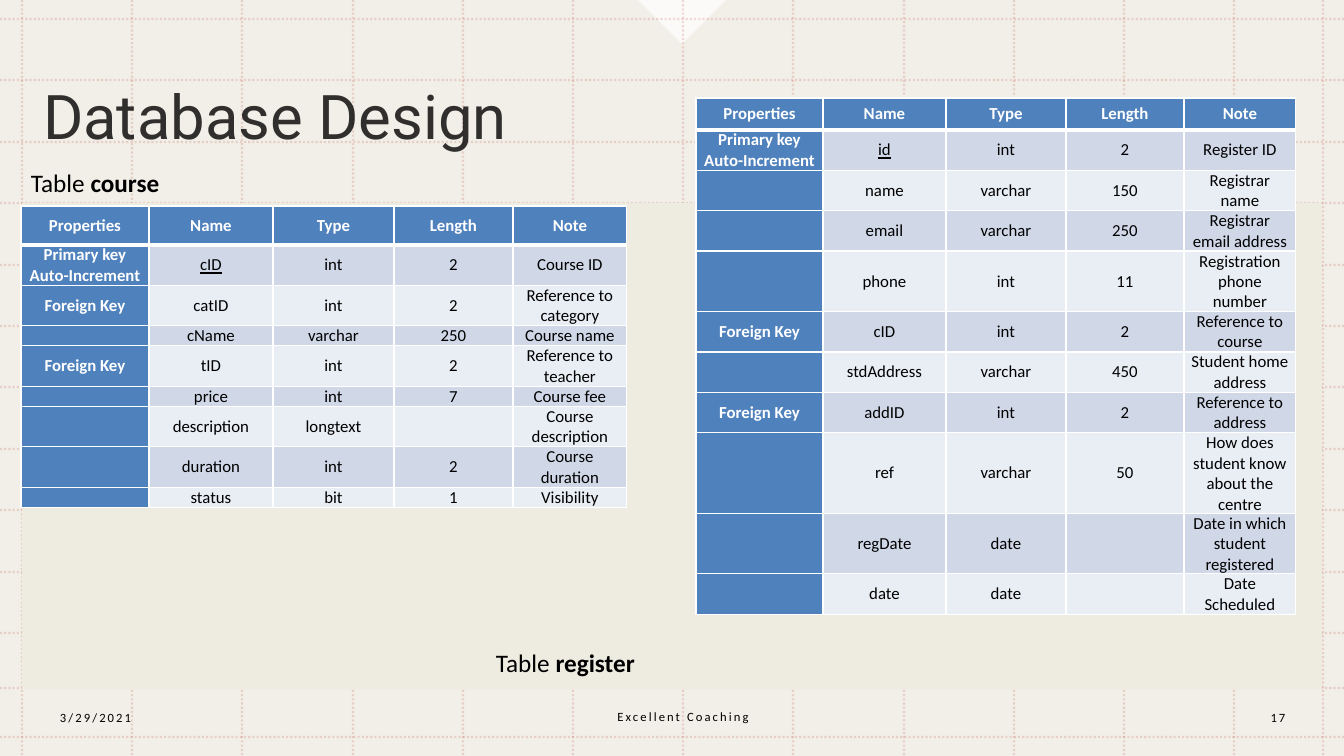
"""Build the Database Design slide with the course and register tables."""
import pptx
import pptx.dml.color
import pptx.enum.dml
import pptx.enum.shapes
import pptx.enum.text
import pptx.oxml.ns
import pptx.util
from lxml import etree

RGBColor = pptx.dml.color.RGBColor
Shape = pptx.enum.shapes.MSO_SHAPE
Align = pptx.enum.text.PP_ALIGN
Anchor = pptx.enum.text.MSO_ANCHOR
qn = pptx.oxml.ns.qn

BLACK = RGBColor(0, 0, 0)
WHITE = RGBColor(255, 255, 255)
CREAM = RGBColor(0xEE, 0xEC, 0xE1)
RED = RGBColor(0xC0, 0x50, 0x4D)
BLUE = RGBColor(0x4F, 0x81, 0xBD)
BANDS = (RGBColor(0xE9, 0xED, 0xF4), RGBColor(0xD0, 0xD8, 0xE8))

WIDTH, HEIGHT = 1344, 756
PX_PER_INCH = 100.8

TITLE = "Database Design"
HEADER = ("Properties", "Name", "Type", "Length", "Note")
PRIMARY = "Primary key\nAuto-Increment"
FOREIGN = "Foreign Key"

COURSE = [
    (39, HEADER),
    (40, (PRIMARY, "cID", "int", "2", "Course ID")),
    (40, (FOREIGN, "catID", "int", "2", "Reference to category")),
    (20, ("", "cName", "varchar", "250", "Course name")),
    (40, (FOREIGN, "tID", "int", "2", "Reference to teacher")),
    (20, ("", "price", "int", "7", "Course fee")),
    (40, ("", "description", "longtext", "", "Course description")),
    (40, ("", "duration", "int", "2", "Course duration")),
    (20, ("", "status", "bit", "1", "Visibility")),
]
REGISTER = [
    (32, HEADER),
    (40, (PRIMARY, "id", "int", "2", "Register ID")),
    (40, ("", "name", "varchar", "150", "Registrar name")),
    (40, ("", "email", "varchar", "250", "Registrar email address")),
    (60, ("", "phone", "int", "11", "Registration phone number")),
    (40, (FOREIGN, "cID", "int", "2", "Reference to course")),
    (40, ("", "stdAddress", "varchar", "450", "Student home address")),
    (40, (FOREIGN, "addID", "int", "2", "Reference to address")),
    (80, ("", "ref", "varchar", "50", "How does student know about the centre")),
    (60, ("", "regDate", "date", "", "Date in which student registered")),
    (40, ("", "date", "date", "", "Date Scheduled")),
]
TABLES = [
    (21, 206, (128, 124, 121, 119, 114), COURSE),
    (696, 98, (127, 123, 120, 118, 112), REGISTER),
]
CAPTIONS = [(21, 162, "course"), (486, 642, "register")]
FOOTERS = [
    (50, 698, 282, Align.LEFT, "3/29/2021"),
    (463, 697, 440, Align.CENTER, "Excellent Coaching"),
    (1234, 698, 88, Align.CENTER, "17"),
]
GRID_X = [22 + round(110.2 * i) for i in range(12)] + [1323]
GRID_Y = [19 + round(61.4 * i) for i in range(11)] + [688, 737]


def px(length):
    return pptx.util.Emu(round(length * 914400 / PX_PER_INCH))


def place(*lengths):
    return [px(length) for length in lengths]


def set_alpha(element, percent):
    color = next(element.iter(qn("a:srgbClr")))
    etree.SubElement(color, qn("a:alpha"), val=str(percent * 1000))


def style(span, size, color=BLACK, bold=False, face="Calibri"):
    span.font.name = face
    span.font.size = pptx.util.Pt(size)
    span.font.bold = bold
    span.font.color.rgb = color


def add_block(page, kind, box, color, alpha=100, rotation=0):
    block = page.shapes.add_shape(kind, *place(*box))
    block.shadow.inherit = False
    block.fill.solid()
    block.fill.fore_color.rgb = color
    block.line.fill.background()
    block.rotation = rotation
    if alpha < 100:
        set_alpha(block.element.spPr, alpha)


def add_grid_line(page, ends):
    line = page.shapes.add_connector(
        pptx.enum.shapes.MSO_CONNECTOR.STRAIGHT, *place(*ends))
    line.line.color.rgb = RED
    line.line.width = pptx.util.Pt(1.5)
    line.line.dash_style = pptx.enum.dml.MSO_LINE.ROUND_DOT
    properties = line.element.spPr
    set_alpha(properties, 20)
    etree.SubElement(properties, qn("a:effectLst"))


def add_text(page, box, text):
    frame = page.shapes.add_textbox(*place(*box)).text_frame
    frame.word_wrap = True
    frame.text = text
    return frame


def add_border(cell, side, points):
    line = etree.SubElement(cell._tc.get_or_add_tcPr(), qn("a:" + side),
                            w=str(pptx.util.Pt(points)))
    fill = etree.SubElement(line, qn("a:solidFill"))
    etree.SubElement(fill, qn("a:srgbClr"), val=str(WHITE))


def fill_cell(cell, text, row, column):
    label = row == 0 or column == 0
    for side in ("lnL", "lnR", "lnT", "lnB"):
        thick = (row, side) in ((0, "lnB"), (1, "lnT"))
        add_border(cell, side, 3 if thick else 1)
    cell.fill.solid()
    cell.fill.fore_color.rgb = BLUE if label else BANDS[row % 2]
    cell.vertical_anchor = Anchor.MIDDLE
    cell.margin_left = cell.margin_right = px(7)
    cell.margin_top = cell.margin_bottom = 0
    cell.text_frame.text = text
    for para in cell.text_frame.paragraphs:
        para.alignment = Align.CENTER
        for span in para.runs:
            style(span, 12, WHITE if label else BLACK, label)
            if (row, column) == (1, 1):
                span.font.underline = True
        if not text:
            etree.SubElement(para._p, qn("a:endParaRPr"), sz="1200")


def add_data_table(page, left, top, widths, rows):
    box = place(left, top, sum(widths), sum(height for height, _ in rows))
    table = page.shapes.add_table(len(rows), len(widths), *box).table
    for column, width in enumerate(widths):
        table.columns[column].width = px(width)
    for row, (height, texts) in enumerate(rows):
        table.rows[row].height = px(height)
        for column, text in enumerate(texts):
            fill_cell(table.cell(row, column), text, row, column)


def format_title(title):
    title.left, title.top, title.width, title.height = place(33, 37, 1268, 165)
    frame = title.text_frame
    frame.text = TITLE
    frame.word_wrap = True
    frame.auto_size = pptx.enum.text.MSO_AUTO_SIZE.NONE
    frame.vertical_anchor = Anchor.MIDDLE
    para = frame.paragraphs[0]
    para.alignment = Align.LEFT
    para.line_spacing = 0.9
    style(para.runs[0], 44, face="Roboto")
    set_alpha(para.runs[0].font._element, 80)
    title.element.getparent().append(title.element)


def main():
    deck = pptx.Presentation()
    deck.slide_width, deck.slide_height = place(WIDTH, HEIGHT)
    page = deck.slides.add_slide(deck.slide_layouts[5])
    add_block(page, Shape.RECTANGLE, (0, 0, WIDTH, HEIGHT), CREAM, 80)
    add_block(page, Shape.RIGHT_TRIANGLE, (651, -31, 62, 62), WHITE, 75, 315)
    for x in GRID_X:
        add_grid_line(page, (x, 0, x, HEIGHT))
    for y in GRID_Y:
        add_grid_line(page, (0, y, WIDTH, y))
    add_block(page, Shape.RECTANGLE, (22, 203, 1300, 486), CREAM)
    format_title(page.shapes.title)
    for left, top, width, alignment, text in FOOTERS:
        frame = add_text(page, (left, top, width, 40), text)
        frame.vertical_anchor = Anchor.MIDDLE
        para = frame.paragraphs[0]
        para.alignment = alignment
        style(para.runs[0], 9)
        para.runs[0].font._element.set("spc", "150")
    for left, top, name in CAPTIONS:
        para = add_text(page, (left, top, 596, 40), "Table ").paragraphs[0]
        para.add_run().text = name
        for span in para.runs:
            style(span, 18, bold=span.text == name)
    for table in TABLES:
        add_data_table(page, *table)
    deck.save("out.pptx")


if __name__ == "__main__":
    main()
